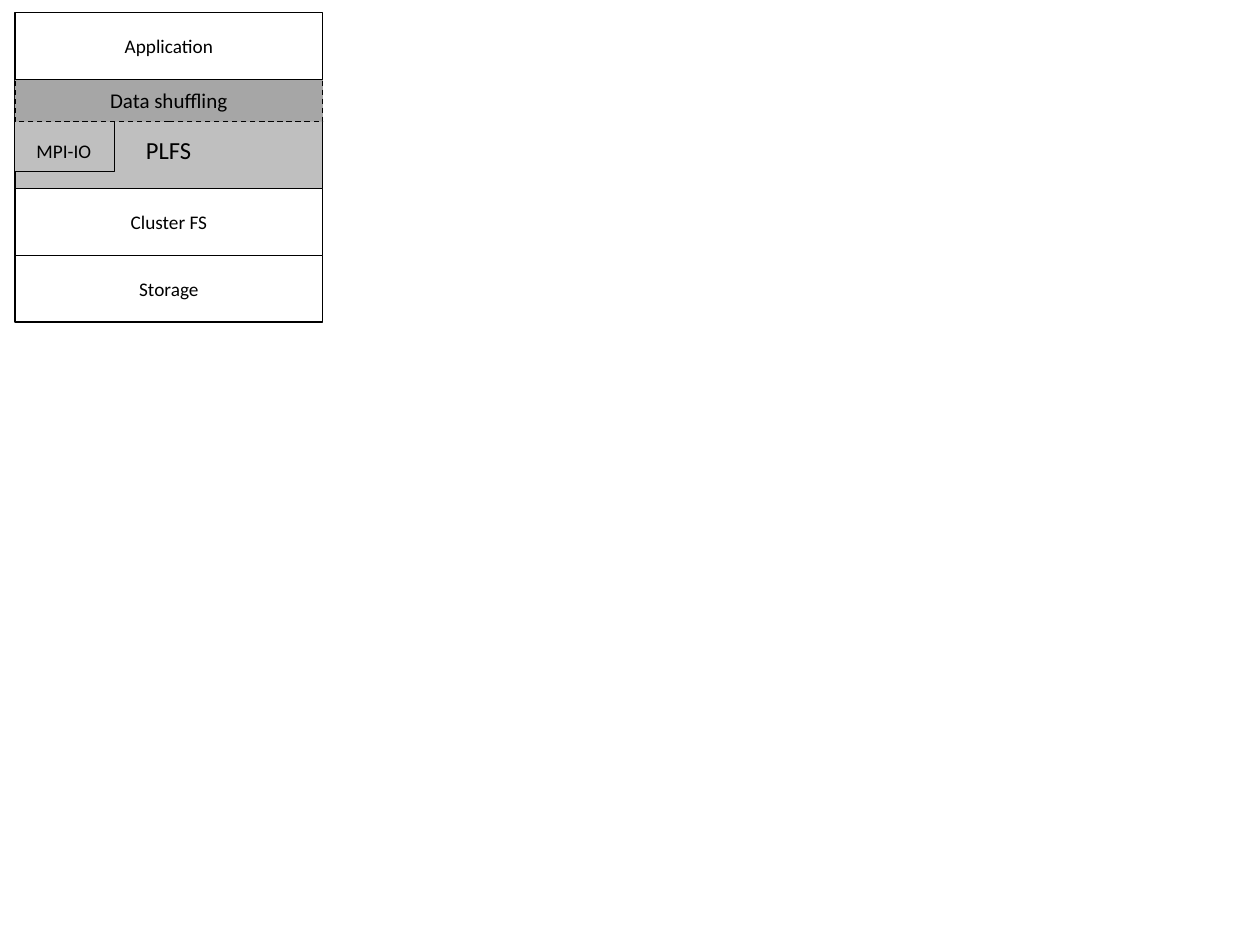
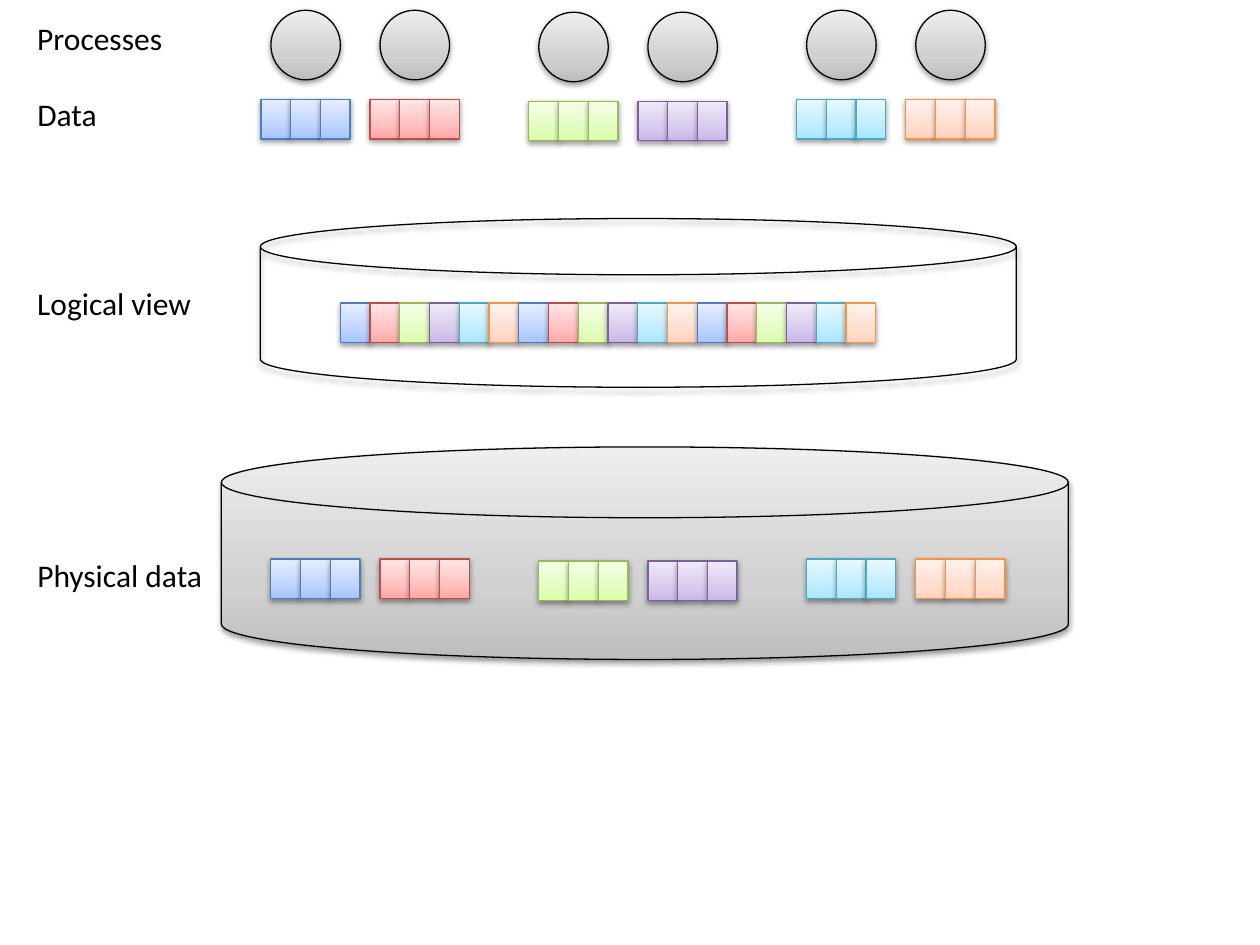
"""Build two diagrams: an I/O stack and the layout of shuffled data."""
from copy import deepcopy
from dataclasses import dataclass
from typing import Optional

from lxml import etree
from pptx import Presentation
from pptx import util as u
from pptx.dml.color import RGBColor
from pptx.enum import dml, shapes, text
from pptx.oxml.ns import qn

FONT = "Calibri"
BLACK, WHITE = "000000", "FFFFFF"
LIGHT_GRAY, MID_GRAY = "BFBFBF", "A6A6A6"
LINE_WIDTH = 0.75
RECTANGLE = shapes.MSO_SHAPE.RECTANGLE
CYLINDER = shapes.MSO_SHAPE.FLOWCHART_MAGNETIC_DISK


@dataclass(frozen=True)
class Box:
    """A place on the slide, in points."""
    left: float
    top: float
    width: float
    height: float

    def lengths(self) -> tuple:
        """Return the four measures as lengths."""
        return tuple(u.Pt(value) for value in
                     (self.left, self.top, self.width, self.height))


@dataclass(frozen=True)
class Layer:
    """A flat rectangle of the I/O stack."""
    box: Box
    fill: str = WHITE
    caption: str = ""
    dashed: bool = False


@dataclass(frozen=True)
class Label:
    """A line of free text."""
    words: str
    box: Box
    size: float
    centred: bool = False


@dataclass(frozen=True)
class Palette:
    """Line colour and gradient, dark (bottom) to light (top)."""
    line: str
    dark: str
    middle: str
    light: str


GRAY = Palette(BLACK, "BDBDBD", "D1D1D1", "EEEEEE")
PROCESS_PALETTES = (
    Palette("4B7EBC", "A4C4FF", "BFD4FF", "E6EEFF"),
    Palette("BF4C48", "FFA6A5", "FFC0BF", "FFE7E7"),
    Palette("98B955", "DAFDA7", "E4FCC2", "F5FFE7"),
    Palette("7D60A0", "C9B5E8", "D8CBEE", "F0EAF9"),
    Palette("46AAC5", "A7E6FF", "C1EDFF", "E7F8FF"),
    Palette("F69240", "FFD2BD", "FFDED0", "FFF2ED"),
)


def color(hex_value: str) -> RGBColor:
    """Turn a hex string into a colour."""
    return RGBColor.from_string(hex_value)


def style_paragraph(paragraph, size: float, centred: bool) -> None:
    """Set the font and alignment of a paragraph."""
    paragraph.font.name = FONT
    paragraph.font.size = u.Pt(size)
    paragraph.font.color.rgb = color(BLACK)
    paragraph.alignment = (text.PP_ALIGN.CENTER if centred
                           else text.PP_ALIGN.LEFT)


def add_outlined(container, kind, box: Box, line: str):
    """Add a preset shape with a thin line and no shadow."""
    shape = container.add_shape(kind, *box.lengths())
    shape.shadow.inherit = False
    shape.line.color.rgb = color(line)
    shape.line.width = u.Pt(LINE_WIDTH)
    return shape


def add_layer(slide, layer: Layer) -> None:
    """Draw one layer of the stack."""
    shape = add_outlined(slide.shapes, RECTANGLE, layer.box, BLACK)
    shape.fill.solid()
    shape.fill.fore_color.rgb = color(layer.fill)
    if layer.dashed:
        shape.line.dash_style = dml.MSO_LINE.DASH
    if layer.caption:
        frame = shape.text_frame
        frame.text = layer.caption
        frame.vertical_anchor = text.MSO_ANCHOR.MIDDLE
        style_paragraph(frame.paragraphs[0], 11, True)


def add_label(slide, label: Label) -> None:
    """Draw a line of text in a box that grows with it."""
    frame = slide.shapes.add_textbox(*label.box.lengths()).text_frame
    frame.word_wrap = False
    frame.auto_size = text.MSO_AUTO_SIZE.SHAPE_TO_FIT_TEXT
    frame.text = label.words
    style_paragraph(frame.paragraphs[0], label.size, label.centred)


def add_gradient(shape, palette: Palette) -> None:
    """Fill a shape with three stops running from bottom to top."""
    shape.fill.gradient()
    shape.fill.gradient_angle = 90
    stop_list = shape.element.spPr.find(qn("a:gradFill")).find(qn("a:gsLst"))
    stop_list.append(deepcopy(stop_list[-1]))
    stops = ((0, palette.dark), (0.35, palette.middle), (1, palette.light))
    for stop, (position, shade) in zip(shape.fill.gradient_stops, stops):
        stop.position = position
        stop.color.rgb = color(shade)


def add_shadow(shape) -> None:
    """Cast a soft shadow straight down."""
    effects = shape.element.spPr.find(qn("a:effectLst"))
    shadow = etree.SubElement(
        effects, qn("a:outerShdw"), blurRad=str(u.Pt(3.15)),
        dist=str(u.Pt(1.57)), dir="5400000", rotWithShape="0")
    black = etree.SubElement(shadow, qn("a:srgbClr"), val=BLACK)
    etree.SubElement(black, qn("a:alpha"), val="38000")


def add_raised(container, kind, box: Box,
               palette: Optional[Palette] = None) -> None:
    """Draw a shadowed shape, hollow when it has no palette."""
    shape = add_outlined(container, kind, box,
                         palette.line if palette else BLACK)
    if palette:
        add_gradient(shape, palette)
    else:
        shape.fill.background()
    add_shadow(shape)


def add_blocks(container, left: float, top: float, palettes) -> None:
    """Draw a row of touching data blocks, one per palette."""
    width, height = 17, 22.7
    for index, palette in enumerate(palettes):
        box = Box(left + index * width, top, width, height)
        add_raised(container, RECTANGLE, box, palette)


def process_offset(index: int) -> tuple[float, float]:
    """Return the shift of a process; the middle pair sits a bit lower."""
    pair, member = divmod(index, 2)
    return pair * 153.07 + member * 62.36, 1.1 if pair == 1 else 0


def add_process_blocks(slide, left: float, top: float) -> None:
    """Draw a group of three blocks for every process."""
    for index, palette in enumerate(PROCESS_PALETTES):
        right, down = process_offset(index)
        group = slide.shapes.add_group_shape()
        add_blocks(group.shapes, left + right, top + down, [palette] * 3)


def build_stack(slide) -> None:
    """Draw the I/O stack."""
    left, top, width, height = 8.5, 7.1, 176, 38.2
    middle_top, middle_height = top + height, 62.4
    lower_top = middle_top + middle_height
    for layer in (
        Layer(Box(left, middle_top, width, middle_height), LIGHT_GRAY),
        Layer(Box(left, middle_top, 56.8, 52.6), LIGHT_GRAY),
        Layer(Box(left, middle_top, width, 24.2), MID_GRAY, dashed=True),
        Layer(Box(left, top, width, height), caption="Application"),
        Layer(Box(left, lower_top, width, height), caption="Cluster FS"),
        Layer(Box(left, lower_top + height, width, height),
              caption="Storage"),
    ):
        add_layer(slide, layer)
    for label in (
        Label("PLFS", Box(76.3, 73.6, 40.3, 24.2), 14),
        Label("MPI-IO", Box(13.7, 75.8, 46, 20.6), 11),
        Label("Data shuffling", Box(55.4, 46.3, 82.1, 21.8), 12, True),
    ):
        add_label(slide, label)


def build_data_views(slide) -> None:
    """Draw the processes with the logical and physical views of their data."""
    process_left, circle = 154.8, 39.7
    for index in range(len(PROCESS_PALETTES)):
        right, down = process_offset(index)
        add_raised(slide.shapes, shapes.MSO_SHAPE.OVAL,
                   Box(process_left + right, 5.9 + down, circle, circle), GRAY)
    add_process_blocks(slide, 149.1, 56.7)
    add_raised(slide.shapes, CYLINDER, Box(148.8, 124.9, 432, 96.4))
    add_raised(slide.shapes, CYLINDER, Box(126.5, 255.4, 484, 121.5), GRAY)
    add_process_blocks(slide, process_left, 319.5)
    add_blocks(slide.shapes, 194.5, 173.2, PROCESS_PALETTES * 3)
    for words, top, width in (("Processes", 7.3, 86.4), ("Data", 51, 49),
                              ("Logical view", 158.8, 103.7),
                              ("Physical data", 314.2, 109.4)):
        add_label(slide, Label(words, Box(14.2, top, width, 29), 18))


def main() -> None:
    """Build and save the presentation."""
    presentation = Presentation()
    presentation.slide_width, presentation.slide_height = u.Pt(720), u.Pt(540)
    blank = presentation.slide_layouts[6]
    for build in (build_stack, build_data_views):
        build(presentation.slides.add_slide(blank))
    presentation.save("out.pptx")


main()
